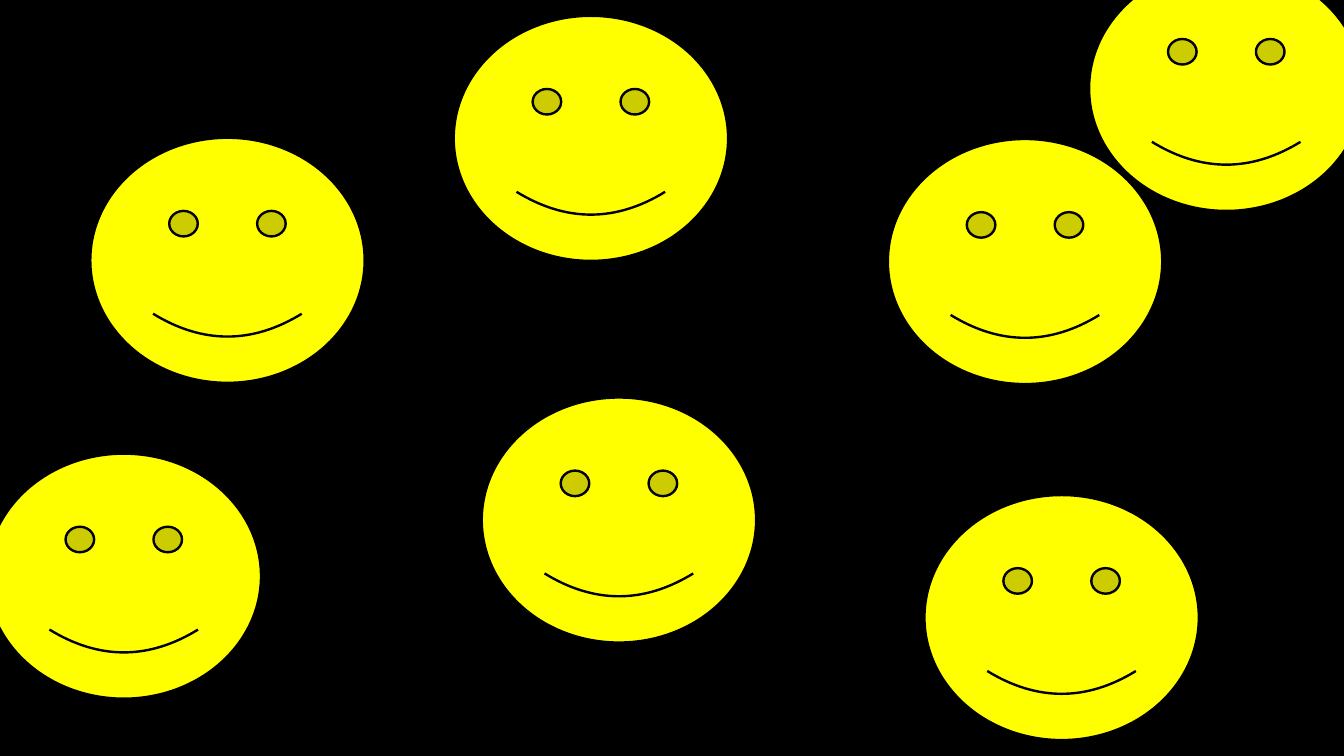
from pptx import Presentation
from pptx.dml.color import RGBColor
from pptx.enum.shapes import MSO_SHAPE
from pptx.util import Inches, Pt

RECTANGLE = MSO_SHAPE.RECTANGLE
SMILEY_FACE = MSO_SHAPE.SMILEY_FACE
BLANK_LAYOUT = 6
BLACK = "000000"
YELLOW = "FFFF00"
FACE_WIDTH, FACE_HEIGHT = 2.25, 2.01
SMILE_CURVE = 0.093
FACE_POSITIONS = [
    (7.58, 4.06),
    (-0.11, 3.72),
    (3.72, 0.13),
    (3.95, 3.26),
    (7.28, 1.14),
    (0.74, 1.13),
    (8.93, -0.28),
]

presentation = Presentation()
presentation.slide_width = Inches(11.02)
presentation.slide_height = Inches(6.2)
slide = presentation.slides.add_slide(presentation.slide_layouts[BLANK_LAYOUT])


def add_outlined_shape(kind, left, top, width, height, fill_color):
    shape = slide.shapes.add_shape(
        kind, Inches(left), Inches(top), Inches(width), Inches(height)
    )
    shape.shadow.inherit = False
    shape.fill.solid()
    shape.fill.fore_color.rgb = RGBColor.from_string(fill_color)
    shape.line.color.rgb = RGBColor.from_string(BLACK)
    shape.line.width = Pt(1.42)
    return shape


add_outlined_shape(RECTANGLE, -0.26, -0.76, 11.48, 7.23, BLACK)

for left, top in FACE_POSITIONS:
    face = add_outlined_shape(SMILEY_FACE, left, top, FACE_WIDTH, FACE_HEIGHT, YELLOW)
    face.adjustments[0] = SMILE_CURVE

presentation.save("out.pptx")
